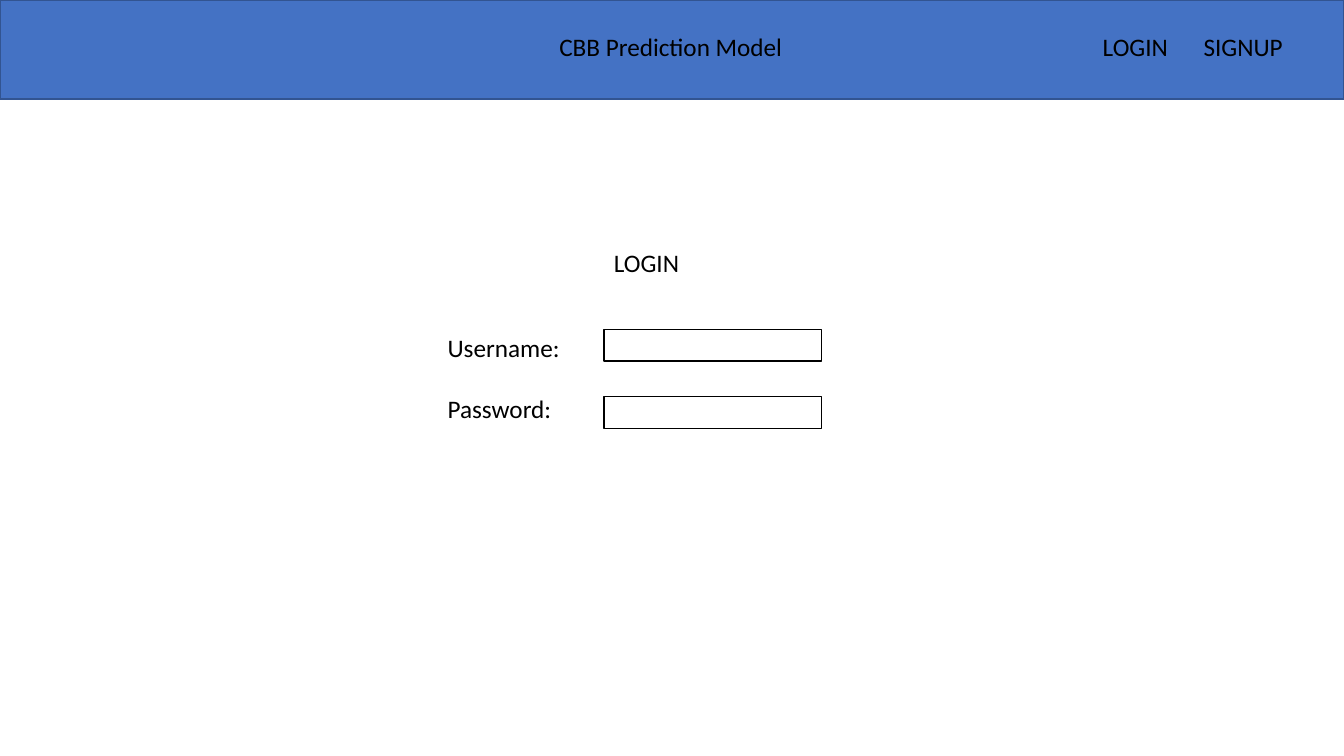
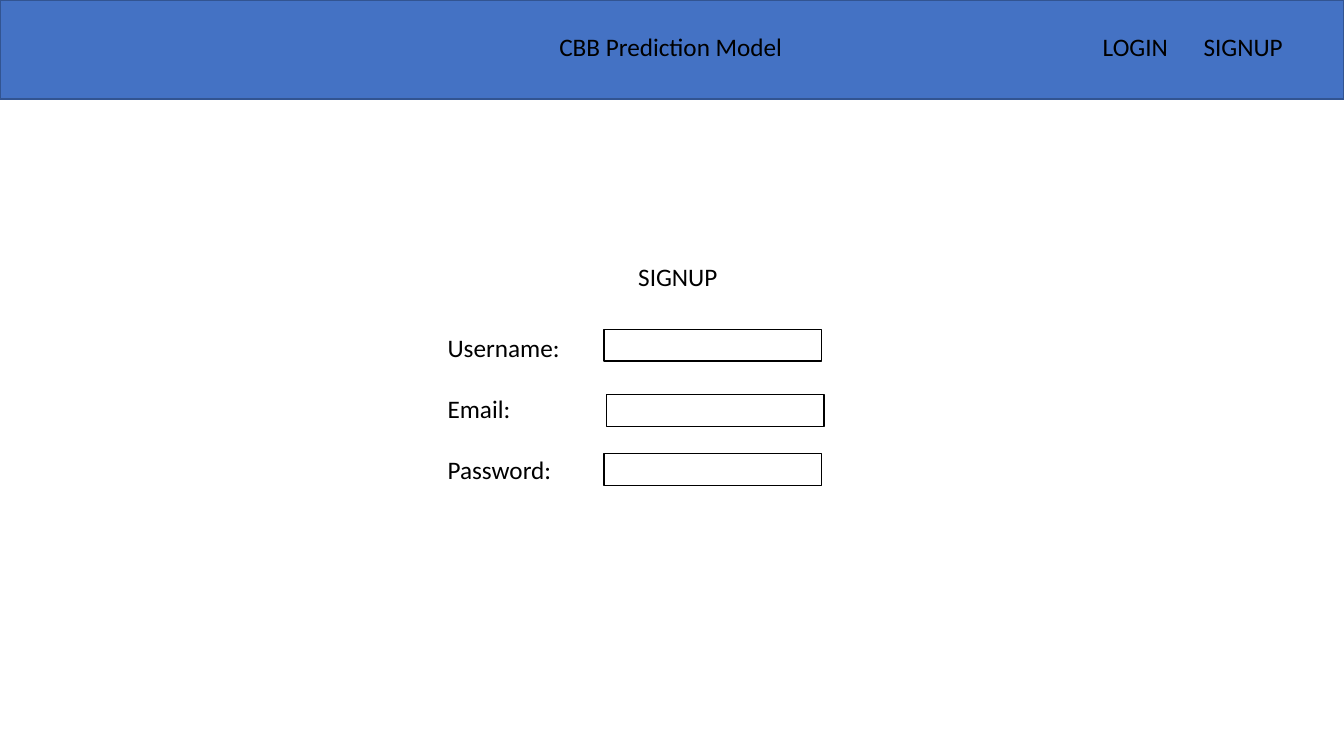
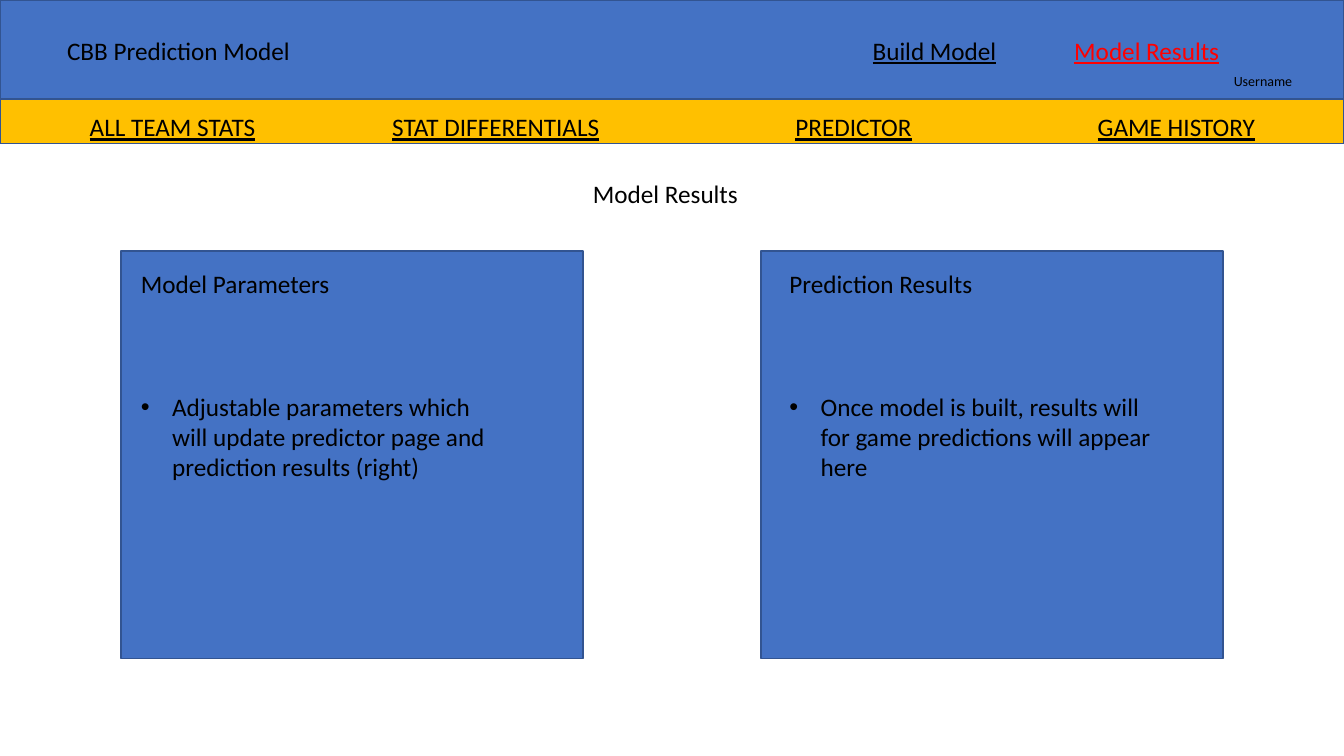
from lxml.etree import SubElement
from pptx import Presentation
from pptx.dml.color import RGBColor
from pptx.enum.shapes import MSO_SHAPE as Shape
from pptx.enum.text import MSO_AUTO_SIZE as AutoSize
from pptx.oxml.ns import qn
from pptx.util import Inches, Pt

COLUMNS, ROWS = 16, 9
WIDTH, HEIGHT = Inches(13.33), Inches(7.5)
FONT, BODY_SIZE, SMALL_SIZE = "Calibri", 18, 10
BLUE, NAVY, GOLD = "4472C4", "325491", "FFC000"
BLACK, WHITE, RED = "000000", "FFFFFF", "FF0000"
BLANK_LINE = 22
BAND_HEIGHT, LINE_HEIGHT = 1.18, 0.48
FIELD_LEFT, FIELD_WIDTH, FIELD_HEIGHT = 7.19, 2.59, 0.38


def color(value):
    return RGBColor.from_string(value)


def across(columns):
    return round(WIDTH * columns / COLUMNS)


def down(rows):
    return round(HEIGHT * rows / ROWS)


def place(left, top, width, height):
    return across(left), down(top), across(width), down(height)


def add_rectangle(page, left, top, width, height, fill=BLUE, line=NAVY):
    box = page.shapes.add_shape(Shape.RECTANGLE, *place(left, top, width, height))
    box.shadow.inherit = False
    box.fill.solid()
    box.fill.fore_color.rgb = color(fill)
    box.line.color.rgb = color(line)
    box.line.width = Pt(1)


def add_run(para, text, ink=BLACK, size=BODY_SIZE, underline=False):
    span = para.add_run()
    span.text = text
    span.font.name = FONT
    span.font.size = Pt(size)
    span.font.color.rgb = color(ink)
    span.font.underline = underline


def add_frame(page, left, top, width, height=LINE_HEIGHT):
    box = page.shapes.add_textbox(*place(left, top, width, height))
    frame = box.text_frame
    frame.word_wrap = True
    frame.auto_size = AutoSize.SHAPE_TO_FIT_TEXT
    return frame


def add_label(page, text, left, top, width, height=LINE_HEIGHT, size=BODY_SIZE):
    add_run(add_frame(page, left, top, width, height).paragraphs[0], text, size=size)


def add_menu(page, left, top, width, items, stops, underline=True):
    para = add_frame(page, left, top, width).paragraphs[0]
    tabs = SubElement(para._p.get_or_add_pPr(), qn("a:tabLst"))
    for stop in stops:
        SubElement(tabs, qn("a:tab"), pos=str(across(stop)), algn="l")
    for index, (text, ink) in enumerate(items):
        if index:
            add_run(para, "\t")
        add_run(para, text, ink, underline=underline)


def add_bullet(para):
    properties = para._p.get_or_add_pPr()
    properties.set("marL", str(Inches(0.31)))
    properties.set("indent", str(-Inches(0.31)))
    SubElement(properties, qn("a:buFont"), typeface="Arial")
    SubElement(properties, qn("a:buChar"), char="•")


def add_panel(page, left, text_left, text_width, title, detail):
    add_rectangle(page, left, 2.99, 5.5, 4.85)
    frame = add_frame(page, text_left, 3.14, text_width, 2.66)
    add_run(frame.paragraphs[0], title)
    para = frame.add_paragraph()
    para.space_before = Pt(3 * BLANK_LINE)
    add_bullet(para)
    add_run(para, detail)


def add_page(deck, title_left, title_top):
    page = deck.slides.add_slide(deck.slide_layouts[6])
    add_rectangle(page, 0, 0, COLUMNS, BAND_HEIGHT)
    add_label(page, "CBB Prediction Model", title_left, title_top, 2.92)
    return page


def add_form_page(deck, heading, heading_place, fields):
    page = add_page(deck, 6.54, 0.31)
    add_menu(page, 13.01, 0.31, 2.74, [("LOGIN", BLACK), ("SIGNUP", BLACK)],
             [1.2], underline=False)
    add_label(page, heading, *heading_place)
    frame = add_frame(page, 5.21, 3.9, 5.93, 0.73 * len(fields) - 0.25)
    for index, (name, left, top) in enumerate(fields):
        para = frame.add_paragraph() if index else frame.paragraphs[0]
        para.space_before = Pt(BLANK_LINE if index else 0)
        add_run(para, name)
        add_rectangle(page, left, top, FIELD_WIDTH, FIELD_HEIGHT, WHITE, BLACK)


def add_results_page(deck):
    page = add_page(deck, 0.68, 0.36)
    add_menu(page, 10.27, 0.36, 4.43,
             [("Build Model", BLACK), ("Model Results", RED)], [2.4])
    add_label(page, "Username", 14.57, 0.8, 0.96, 0.32, SMALL_SIZE)
    add_rectangle(page, 0, BAND_HEIGHT, COLUMNS, 0.53, GOLD)
    sections = ["ALL TEAM STATS", "STAT DIFFERENTIALS", "PREDICTOR", "GAME HISTORY"]
    add_menu(page, 0.95, 1.27, 14.78, [(name, BLACK) for name in sections],
             [3.6, 8.4, 12])
    add_label(page, "Model Results", 6.94, 2.06, 1.98)
    add_panel(page, 1.44, 1.56, 4.46, "Model Parameters",
              "Adjustable parameters which will update predictor page and "
              "prediction results (right)")
    add_panel(page, 9.06, 9.28, 4.66, "Prediction Results",
              "Once model is built, results will for game predictions will appear here")


def main():
    deck = Presentation()
    deck.slide_width, deck.slide_height = WIDTH, HEIGHT
    add_form_page(deck, "LOGIN", (7.19, 2.89, 1.09), [
        ("Username:", FIELD_LEFT, 3.92),
        ("Password:", FIELD_LEFT, 4.72),
    ])
    add_form_page(deck, "SIGNUP", (7.48, 3.05, 1.24), [
        ("Username:", FIELD_LEFT, 3.92),
        ("Email:", FIELD_LEFT + 0.03, 4.7),
        ("Password:", FIELD_LEFT, 5.4),
    ])
    add_results_page(deck)
    deck.save("out.pptx")


if __name__ == "__main__":
    main()
